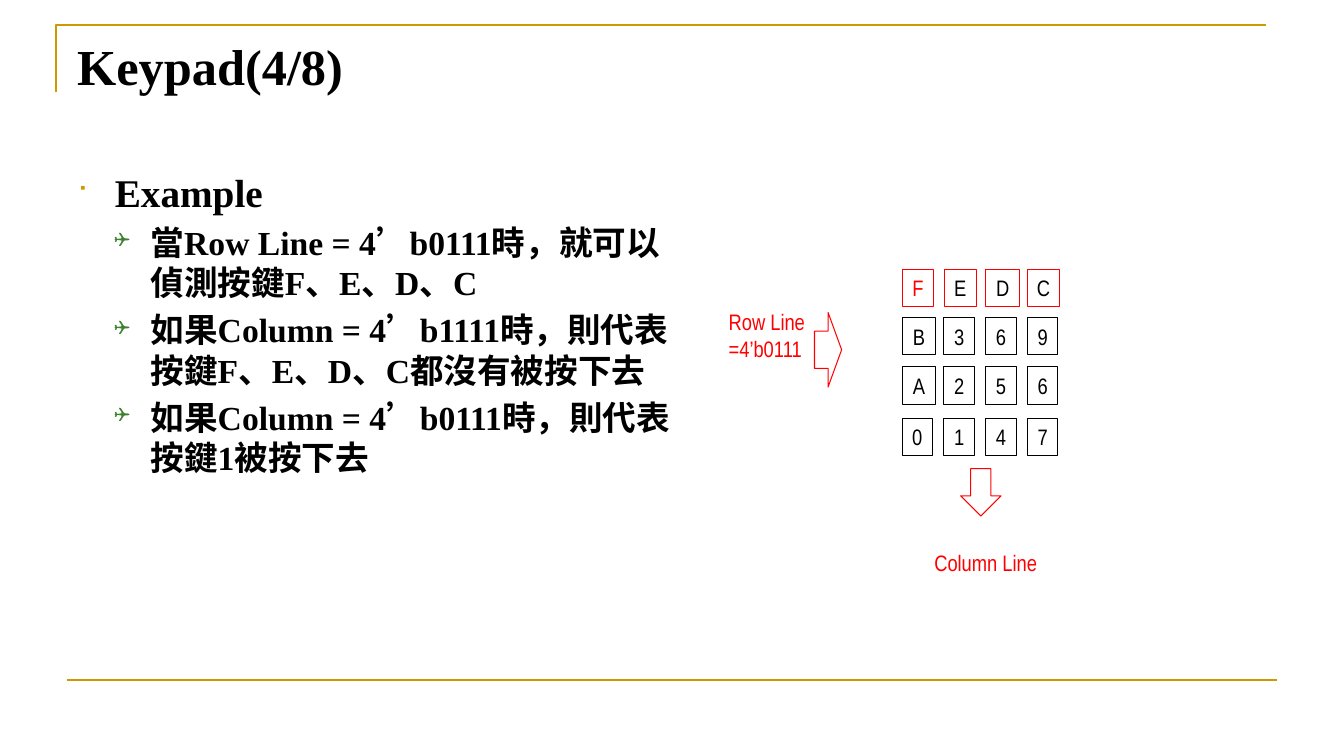
from lxml import etree
from pptx import Presentation
from pptx.dml.color import RGBColor
from pptx.enum.shapes import MSO_CONNECTOR, MSO_SHAPE
from pptx.enum.text import MSO_ANCHOR, PP_ALIGN
from pptx.oxml.ns import qn
from pptx.util import Pt

RECTANGLE = MSO_SHAPE.RECTANGLE
RIGHT_ARROW = MSO_SHAPE.RIGHT_ARROW
DOWN_ARROW = MSO_SHAPE.DOWN_ARROW
STRAIGHT = MSO_CONNECTOR.STRAIGHT
TOP, MIDDLE = MSO_ANCHOR.TOP, MSO_ANCHOR.MIDDLE
CENTER = PP_ALIGN.CENTER

GOLD, GREEN, RED, BLACK = "CC9900", "3B812F", "FF0000", "000000"
SERIF, NARROW = "Times New Roman", "Arial Narrow"

EXAMPLE = [
    (0, "Example"),
    (1, "當Row Line = 4’b0111時，就可以偵測按鍵F、E、D、C"),
    (1, "如果Column = 4’b1111時，則代表按鍵F、E、D、C都沒有被按下去"),
    (1, "如果Column = 4’b0111時，則代表按鍵1被按下去"),
]
LEVELS = [
    {"size": 28, "margin": 27, "hang": 27, "mark": "■", "color": GOLD, "scale": 65},
    {"size": 24, "margin": 52.5, "hang": 26, "mark": "❑", "color": GREEN, "scale": 60},
]
KEY_ROWS = ["FEDC", "B369", "A256", "0147"]
KEY_TOPS = [0, 34.6, 69.9, 106.6]
KEY_PITCH = 29.9
KEY_WIDTHS = {"F": 22.5, "E": 23, "D": 24.2, "C": 22.5, "B": 24.2, "A": 24.2}


def rgb(value):
    return RGBColor.from_string(value)


def set_font(paragraph, face, size, color, bold=False):
    font = paragraph.font
    font.name, font.size, font.bold = face, Pt(size), bold
    font.color.rgb = rgb(color)


def add_label(slide, box, lines, face, size, color, bold=False, wrap=False):
    label = slide.shapes.add_textbox(*map(Pt, box))
    frame = label.text_frame
    frame.word_wrap = wrap
    frame.vertical_anchor = TOP
    frame.text = "\n".join(lines)
    for paragraph in frame.paragraphs:
        set_font(paragraph, face, size, color, bold)
    return frame


def add_outline(slide, kind, box, color):
    outline = slide.shapes.add_shape(kind, *map(Pt, box))
    outline.shadow.inherit = False
    outline.fill.background()
    outline.line.color.rgb = rgb(color)
    outline.line.width = Pt(0.75)
    return outline


def add_bullet(paragraph, level):
    props = paragraph._p.get_or_add_pPr()
    props.set("marL", str(Pt(level["margin"])))
    props.set("indent", str(-Pt(level["hang"])))
    color = etree.SubElement(props, qn("a:buClr"))
    etree.SubElement(color, qn("a:srgbClr"), val=level["color"])
    etree.SubElement(props, qn("a:buSzPct"), val=str(level["scale"] * 1000))
    etree.SubElement(props, qn("a:buFont"), typeface="Wingdings")
    etree.SubElement(props, qn("a:buChar"), char=level["mark"])


def draw_frame(slide, left, top, width, height):
    builder = slide.shapes.build_freeform(Pt(left), Pt(top + 48))
    builder.add_line_segments(
        [(Pt(left), Pt(top)), (Pt(left + width), Pt(top))], close=False)
    corner = builder.convert_to_shape()
    corner.shadow.inherit = False
    corner.fill.background()
    bottom = Pt(top + height)
    footer = slide.shapes.add_connector(
        STRAIGHT, Pt(left + 8), bottom, Pt(left + width + 8), bottom)
    etree.SubElement(footer._element.spPr, qn("a:effectLst"))
    for rule in (corner, footer):
        rule.line.color.rgb = rgb(GOLD)
        rule.line.width = Pt(1.5)


def draw_example(slide, box):
    texts = [text for _, text in EXAMPLE]
    frame = add_label(slide, box, texts, SERIF, 24, BLACK, bold=True, wrap=True)
    for paragraph, (depth, _) in zip(frame.paragraphs, EXAMPLE):
        level = LEVELS[depth]
        paragraph.level = depth
        paragraph.font.size = Pt(level["size"])
        paragraph.space_before = Pt(level["size"] * 0.2)
        add_bullet(paragraph, level)


def draw_keypad(slide, left, top):
    for row, (keys, offset) in enumerate(zip(KEY_ROWS, KEY_TOPS)):
        for column, name in enumerate(keys):
            box = (left + column * KEY_PITCH, top + offset,
                   KEY_WIDTHS.get(name, 21.6), 26.6)
            key = add_outline(slide, RECTANGLE, box, BLACK if row else RED)
            frame = key.text_frame
            frame.word_wrap = False
            frame.vertical_anchor = MIDDLE
            frame.text = name
            paragraph = frame.paragraphs[0]
            paragraph.alignment = CENTER
            set_font(paragraph, NARROW, 16, RED if name == "F" else BLACK)


def draw_signals(slide, left, top):
    add_outline(slide, RIGHT_ARROW, (left + 68.4, top + 6.5, 19.4, 53.3), RED)
    add_outline(slide, DOWN_ARROW, (left + 172.8, top + 118.1, 28.8, 33.8), RED)
    add_label(slide, (left, top, 69.8, 46.1), ["Row Line", "=4’b0111"],
              NARROW, 16, RED)
    add_label(slide, (left + 146.9, top + 172.1, 88.6, 26.6), ["Column Line"],
              NARROW, 16, RED)


def main():
    deck = Presentation()
    deck.slide_width, deck.slide_height = Pt(960), Pt(540)
    slide = deck.slides.add_slide(deck.slide_layouts[6])
    draw_frame(slide, 40, 18, 864, 468)
    add_label(slide, (48, 21.6, 941.8, 95), ["Keypad(4/8)"],
              SERIF, 36, BLACK, bold=True, wrap=True)
    draw_example(slide, (48, 116.6, 439.2, 359.3))
    draw_keypad(slide, 644.4, 192.2)
    draw_signals(slide, 513.4, 216.7)
    deck.save("out.pptx")


if __name__ == "__main__":
    main()
